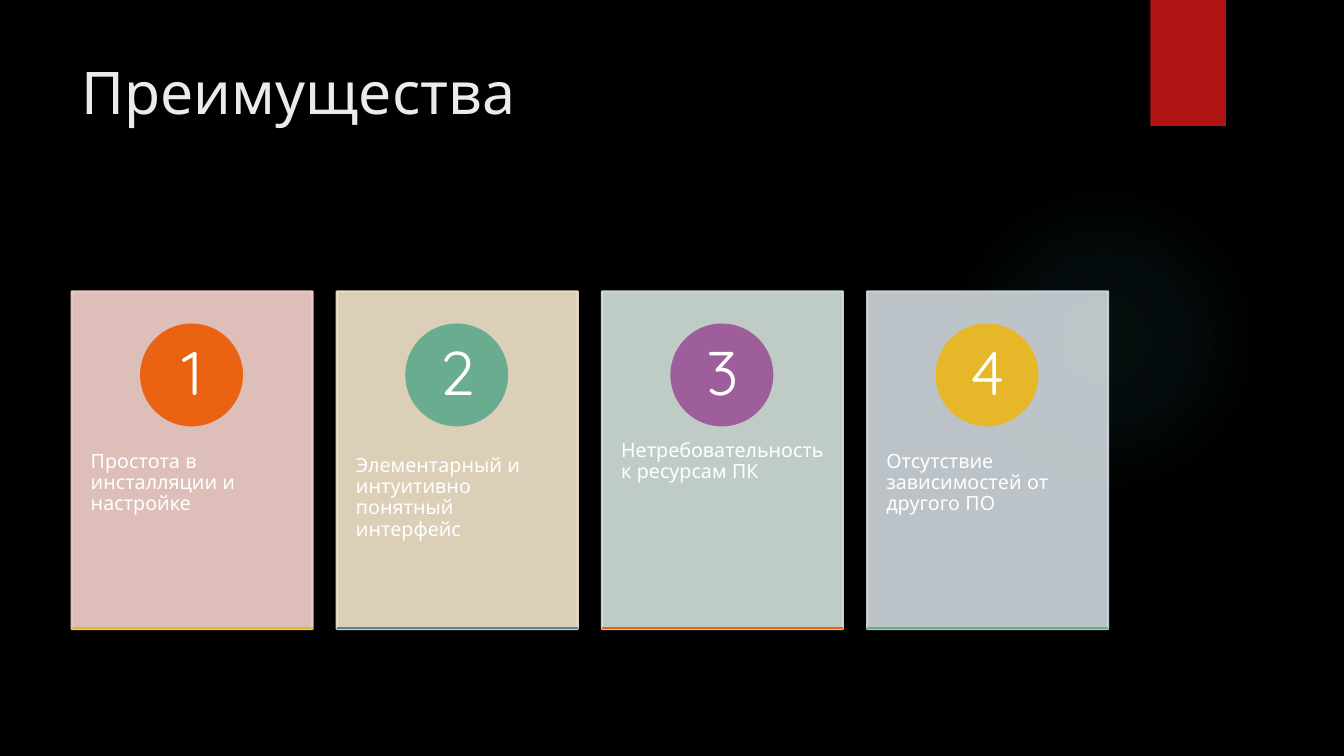
from lxml import etree
from pptx import Presentation
from pptx.dml.color import RGBColor
from pptx.enum.shapes import MSO_CONNECTOR, MSO_SHAPE
from pptx.enum.text import MSO_ANCHOR, MSO_AUTO_SIZE, PP_ALIGN
from pptx.oxml import parse_xml
from pptx.oxml.ns import qn
from pptx.util import Inches, Pt

FONT = "Quicksand"
DRAWING_NS = "http://schemas.openxmlformats.org/drawingml/2006/main"
CARD_LEFT, CARD_TOP, CARD_WIDTH, CARD_HEIGHT = 0.71, 2.89, 2.39, 3.35
CARD_STEP = 2.63
# text, card colour, circle colour, bottom line colour
ADVANTAGES = [
    ("Простота в инсталляции и настройке", "F7D3CC", "EA6312", "E6B729"),
    ("Элементарный и интуитивно понятный интерфейс", "F5E6CD", "6AAC90", "54849A"),
    ("Нетребовательность к ресурсам ПК", "D4E3DB", "9E5E9B", "EA6312"),
    ("Отсутствие зависимостей от другого ПО", "D1D9DE", "E6B729", "6AAC90"),
]

deck = Presentation()
deck.slide_width, deck.slide_height = Inches(13.33), Inches(7.5)
page = deck.slides.add_slide(deck.slide_layouts[5])
page.background.fill.solid()
page.background.fill.fore_color.rgb = RGBColor.from_string("000000")


def add_block(kind, left, top, width, height, color, opacity=100):
    """Add a shape whose fill and outline share one colour and opacity (percent)."""
    block = page.shapes.add_shape(
        kind, Inches(left), Inches(top), Inches(width), Inches(height))
    block.shadow.inherit = False
    block.fill.solid()
    block.line.fill.solid()
    block.line.width = Pt(1.5)
    for fill in (block.fill, block.line.fill):
        fill.fore_color.rgb = RGBColor.from_string(color)
    if opacity < 100:
        for tone in block._element.spPr.iter(qn("a:srgbClr")):
            etree.SubElement(tone, qn("a:alpha")).set("val", str(opacity * 1000))
    return block


def add_label(text, left, top, width, height, size, margins):
    """Add a wrapped white text box; margins are horizontal and vertical inches."""
    box = page.shapes.add_textbox(
        Inches(left), Inches(top), Inches(width), Inches(height))
    frame = box.text_frame
    frame.word_wrap = True
    frame.margin_left = frame.margin_right = Inches(margins[0])
    frame.margin_top = frame.margin_bottom = Inches(margins[1])
    para = frame.paragraphs[0]
    para.text = text
    para.line_spacing = 0.9
    para.font.name, para.font.size = FONT, Pt(size)
    para.font.color.rgb = RGBColor.from_string("FFFFFF")
    return frame


# Background glow and red tab
glow = add_block(MSO_SHAPE.OVAL, 9.41, 1.83, 3.08, 3.08, "50B9C1")
glow.line.fill.background()
stops = "".join(
    f'<a:gs pos="{position * 1000}"><a:srgbClr val="50B9C1">'
    f'<a:alpha val="{opacity * 1000}"/></a:srgbClr></a:gs>'
    for position, opacity in ((0, 7), (36, 6), (69, 0)))
gradient = parse_xml(
    f'<a:gradFill xmlns:a="{DRAWING_NS}"><a:gsLst>{stops}</a:gsLst>'
    '<a:path path="circle"><a:fillToRect l="50000" t="50000" r="50000" b="50000"/>'
    '</a:path></a:gradFill>')
glow_properties = glow._element.spPr
glow_properties.replace(glow_properties.find(qn("a:solidFill")), gradient)

tab = add_block(MSO_SHAPE.RECTANGLE, 11.41, 0, 0.75, 1.25, "B01513")
tab.line.fill.background()

# Title
title = page.shapes.title
title.left, title.top = Inches(0.71), Inches(0.5)
title.width, title.height = Inches(10.29), Inches(1.53)
title.text_frame.auto_size = MSO_AUTO_SIZE.NONE
title.text_frame.vertical_anchor = MSO_ANCHOR.TOP
heading = title.text_frame.paragraphs[0]
heading.text = "Преимущества"
heading.alignment = PP_ALIGN.LEFT
heading.font.name, heading.font.size = FONT, Pt(42)
heading.font.color.rgb = RGBColor.from_string("EBEBEB")

# Numbered cards
for index, (text, card_color, circle_color, line_color) in enumerate(ADVANTAGES):
    left = CARD_LEFT + index * CARD_STEP
    add_block(MSO_SHAPE.RECTANGLE, left, CARD_TOP, CARD_WIDTH, CARD_HEIGHT,
              card_color, opacity=90)
    add_label(text, left, 4.16, CARD_WIDTH, 2.01, 14, (0.19, 0.36))

    add_block(MSO_SHAPE.OVAL, left + 0.69, 3.22, 1, 1, circle_color)
    number = add_label(str(index + 1), left + 0.84, 3.37, 0.71, 0.71, 44, (0.08, 0.01))
    number.vertical_anchor = MSO_ANCHOR.MIDDLE
    number.paragraphs[0].alignment = PP_ALIGN.CENTER

    underline = page.shapes.add_connector(
        MSO_CONNECTOR.STRAIGHT, Inches(left), Inches(6.23),
        Inches(left + CARD_WIDTH), Inches(6.23))
    underline.line.width = Pt(1.5)
    underline.line.color.rgb = RGBColor.from_string(line_color)
    etree.SubElement(underline._element.spPr, qn("a:effectLst"))

deck.save("out.pptx")
